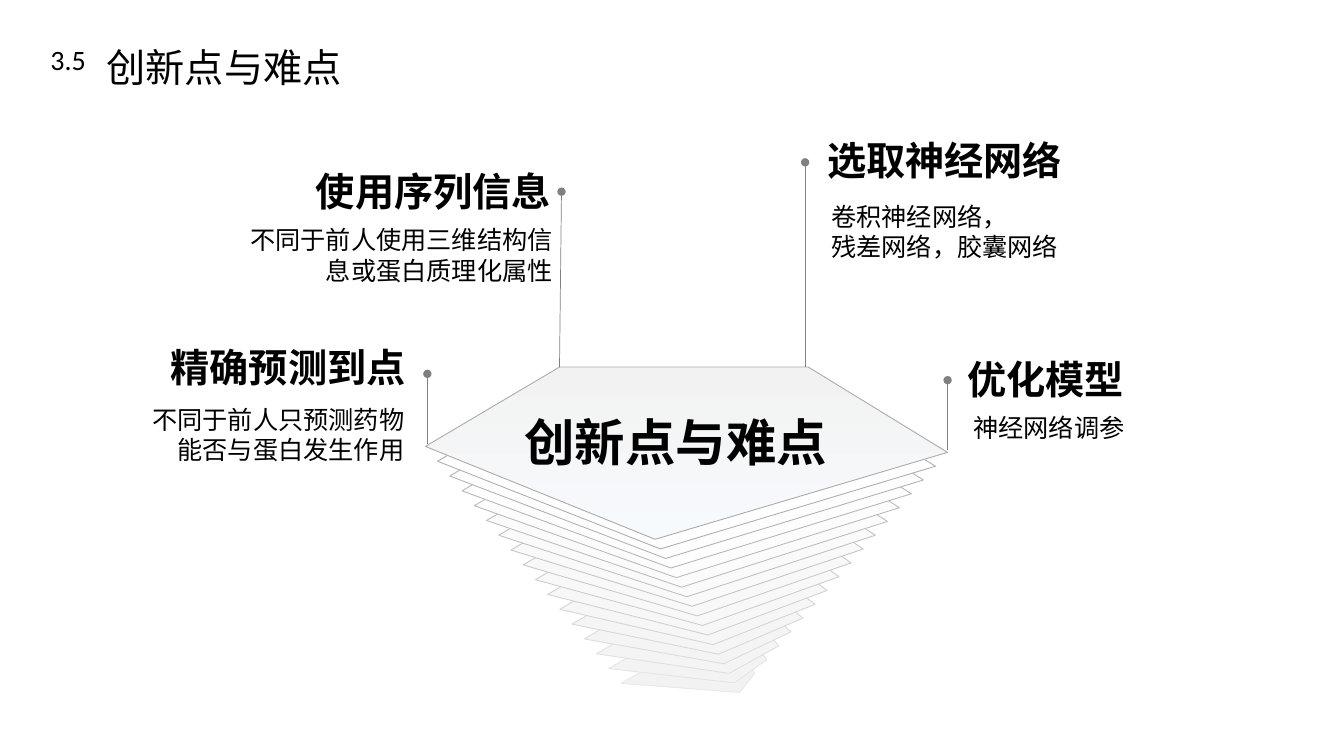
from lxml import etree
from pptx import Presentation
from pptx.dml.color import RGBColor
from pptx.enum.shapes import MSO_CONNECTOR
from pptx.enum.text import MSO_AUTO_SIZE, PP_ALIGN
from pptx.oxml.ns import qn
from pptx.util import Cm, Pt

LEFT, RIGHT, CENTER = PP_ALIGN.LEFT, PP_ALIGN.RIGHT, PP_ALIGN.CENTER
STRAIGHT = MSO_CONNECTOR.STRAIGHT
GROW = MSO_AUTO_SIZE.SHAPE_TO_FIT_TEXT

COLORS = {"text": "000000", "pole": "808080", "top_edge": "AAAAAA",
          "top_start": "F2F2F2", "top_end": "F7FAFD"}

# Content: lengths in cm
STEPS = 16
BOTTOM_SHEET = [(18.64, 17.45), (19.02, 16.97), (18.77, 16.46),
                (16.26, 16.87), (15.65, 17.22)]
TOP_SHEET = [(16.51, 13.59), (23.88, 11.4), (20.37, 9.25),
             (14.1, 9.25), (10.72, 11.25)]
FILL_GREYS = (242, 255)  # bottom, top
EDGE_GREYS = (232, 170)

# Foot x, foot y, head x, head y
POLES = [(23.88, 11.35, 23.88, 9.58), (20.29, 9.25, 20.29, 4.09),
         (14.1, 9.25, 14.15, 4.83), (10.77, 11.2, 10.77, 9.42)]

STYLES = {
    "heading": {"size": Pt(28), "bold": True},
    "body": {"size": Pt(18), "bold": False},
    "center": {"size": Pt(36), "bold": True},
    "number": {"size": Pt(20), "bold": False},
    "title": {"size": Pt(28), "bold": False},
}

# Style, alignment, wrap, (left, top, width, height), paragraphs
TEXTS = [
    ("heading", LEFT, True, (24.13, 8.84, 5.05, 1.45), ["优化模型"]),
    ("body", LEFT, True, (24.28, 10.26, 6.83, 1.02), ["神经网络调参"]),
    ("heading", LEFT, True, (20.6, 3.3, 7.59, 1.45), ["选取神经网络"]),
    ("body", LEFT, True, (20.7, 4.95, 11.02, 1.8),
     ["卷积神经网络，", "残差网络，胶囊网络"]),
    ("heading", RIGHT, True, (6.76, 4.09, 7.37, 1.45), ["使用序列信息"]),
    ("body", RIGHT, True, (6.05, 5.54, 8.13, 1.8),
     ["不同于前人使用三维结构信息或蛋白质理化属性"]),
    ("heading", RIGHT, True, (2.57, 8.53, 7.9, 1.45), ["精确预测到点"]),
    ("body", RIGHT, True, (3.4, 10.06, 7.04, 1.8),
     ["不同于前人只预测药物能否与蛋白发生作用"]),
    ("center", CENTER, False, (12.93, 10.24, 8.2, 1.8), ["创新点与难点"]),
    ("number", LEFT, False, (1.02, 0.94, 1.42, 1.12), ["3.5"]),
    ("title", LEFT, False, (2.44, 0.97, 6.5, 1.45), ["创新点与难点"]),
]


def rgb(name):
    return RGBColor.from_string(COLORS[name])


def between(start, end, t):
    return start + (end - start) * t


def grey(ends, t):
    level = round(between(*ends, t))
    return RGBColor(level, level, level)


def add_sheet(s, t):
    points = [(Cm(between(x0, x1, t)), Cm(between(y0, y1, t)))
              for (x0, y0), (x1, y1) in zip(BOTTOM_SHEET, TOP_SHEET)]
    builder = s.shapes.build_freeform(*points[0])
    builder.add_line_segments(points[1:], close=True)
    sheet = builder.convert_to_shape()
    sheet.shadow.inherit = False
    sheet.fill.solid()
    sheet.fill.fore_color.rgb = grey(FILL_GREYS, t)
    sheet.line.color.rgb = grey(EDGE_GREYS, t)
    sheet.line.width = Pt(0.63)
    return sheet


def add_pole(s, ends):
    pole = s.shapes.add_connector(STRAIGHT, *map(Cm, ends))
    pole.line.color.rgb = rgb("pole")
    pole.line.width = Pt(0.5)
    etree.SubElement(pole.line._get_or_add_ln(), qn("a:tailEnd"), type="oval")
    etree.SubElement(pole._element.spPr, qn("a:effectLst"))


def add_text(s, style, align, wrap, box, lines):
    sp = s.shapes.add_textbox(*map(Cm, box))
    tf = sp.text_frame
    tf.word_wrap = wrap
    tf.auto_size = GROW
    for i, line in enumerate(lines):
        p = tf.add_paragraph() if i else tf.paragraphs[0]
        p.alignment = align
        r = p.add_run()
        r.text = line
        for name, value in {"name": "Calibri", **STYLES[style]}.items():
            setattr(r.font, name, value)
        r.font.color.rgb = rgb("text")


prs = Presentation()
prs.slide_width, prs.slide_height = Cm(33.87), Cm(19.05)
s = prs.slides.add_slide(prs.slide_layouts[6])

# Stack of sheets, widening from the bottom to the top
for step in range(STEPS + 1):
    sheet = add_sheet(s, step / STEPS)

# Top sheet: vertical gradient
sheet.fill.gradient()
sheet.fill.gradient_angle = 270
for stop, name in zip(sheet.fill.gradient_stops, ("top_start", "top_end")):
    stop.color.rgb = rgb(name)
sheet.line.color.rgb = rgb("top_edge")

# Poles with round heads
for ends in POLES:
    add_pole(s, ends)

# Title, centre label and the four points
for text in TEXTS:
    add_text(s, *text)

prs.save("out.pptx")
